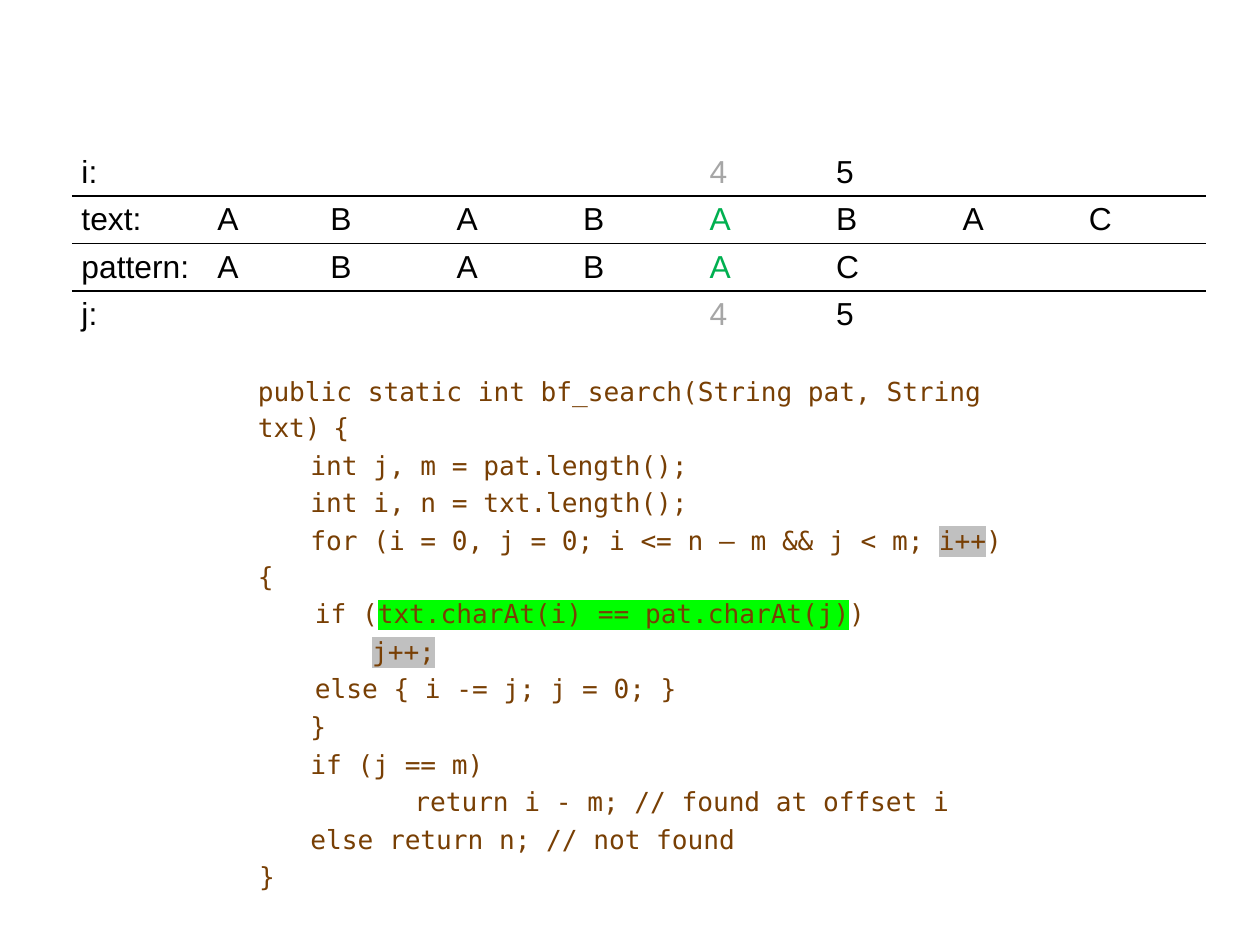
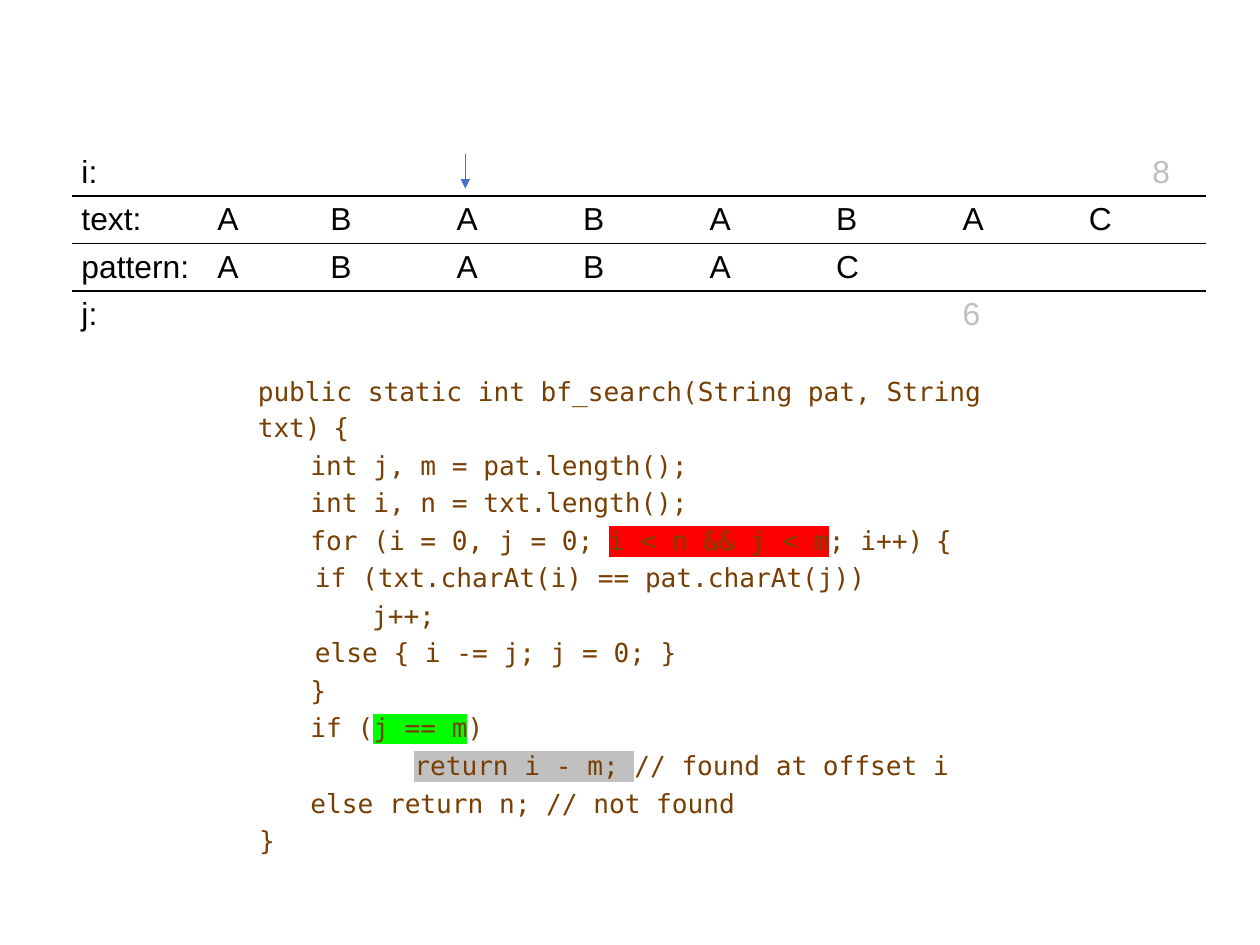
"""Two steps of a brute-force string search: index table above the code."""
from lxml.etree import SubElement
from pptx import Presentation
from pptx.dml.color import RGBColor
from pptx.enum.shapes import MSO_CONNECTOR
from pptx.enum.text import MSO_ANCHOR
from pptx.oxml.ns import qn
from pptx.util import Cm, Pt

BLACK = RGBColor(0x00, 0x00, 0x00)
BROWN = RGBColor(0x78, 0x3F, 0x04)
GREY = RGBColor(0xA6, 0xA6, 0xA6)
PALE_GREY = RGBColor(0xBF, 0xBF, 0xBF)
SILVER = RGBColor(0xC0, 0xC0, 0xC0)
MATCH_GREEN = RGBColor(0x00, 0xB0, 0x50)
LIME = RGBColor(0x00, 0xFF, 0x00)
RED = RGBColor(0xFF, 0x00, 0x00)
BLUE = RGBColor(0x44, 0x72, 0xC4)

NO_STYLE = "{2D5ABB26-0587-4C30-8999-92F81FD0307C}"
ROW_LABELS = ["i:", "text:", "pattern:", "j:"]
TEXT, PATTERN = "ABABABAC", "ABABAC"
LETTER_COLUMNS = [3.02, 2.51] + [2.81] * 6

CODE = [
    ("public static int bf_search(String pat, String txt) {", 0, 0),
    ("int j, m = pat.length();", 0, 1.17),
    ("int i, n = txt.length();", 0, 1.17),
    ("for (i = 0, j = 0; CONDITION; i++) {", 0, 1.17),
    ("\tif (txt.charAt(i) == pat.charAt(j))", 0, 1.17),
    ("\t\tj++;", 0, 1.17),
    ("\telse { i -= j; j = 0; }", 0, 1.17),
    ("}", 0, 1.17),
    ("if (j == m)", 0, 1.17),
    ("return i - m; // found at offset i", 2.31, 1.17),
    ("else return n; // not found", 0, 1.17),
    ("}", 0, 0.03),
]

STEPS = [
    {
        "columns": LETTER_COLUMNS + [2.81],
        "indices": {(0, 5): ("4", GREY), (0, 6): ("5", BLACK),
                    (3, 5): ("4", GREY), (3, 6): ("5", BLACK)},
        "matched": 5,
        "condition": "i <= n – m && j < m",
        "marks": {"i++": SILVER, "txt.charAt(i) == pat.charAt(j)": LIME, "j++;": SILVER},
        "arrow": False,
    },
    {
        "columns": LETTER_COLUMNS + [1.41, 1.4],
        "indices": {(0, 9): ("8", PALE_GREY), (3, 7): ("6", PALE_GREY)},
        "matched": None,
        "condition": "i < n && j < m",
        "marks": {"i < n && j < m": RED, "j == m": LIME, "return i - m; ": SILVER},
        "arrow": True,
    },
]


def add_code_run(paragraph, text, mark=None):
    run = paragraph.add_run()
    run.text = text
    if mark is not None:
        highlight = SubElement(run._r.get_or_add_rPr(), qn("a:highlight"))
        SubElement(highlight, qn("a:srgbClr"), val=str(mark))
    return run


def add_rule(cell, side):
    rule = SubElement(cell._tc.get_or_add_tcPr(), qn(side), w=str(Pt(1)))
    fill = SubElement(rule, qn("a:solidFill"))
    SubElement(fill, qn("a:srgbClr"), val=str(BLACK))


prs = Presentation()
prs.slide_width, prs.slide_height = Cm(28), Cm(21)

for step in STEPS:
    slide = prs.slides.add_slide(prs.slide_layouts[6])

    listing = slide.shapes.add_textbox(Cm(5.49), Cm(8), Cm(17.45), Cm(10.39)).text_frame
    listing.word_wrap = True
    listing.margin_left = listing.margin_right = Cm(0.24)
    listing.margin_top = listing.margin_bottom = Cm(0.24)
    for number, (line, margin, indent) in enumerate(CODE):
        paragraph = listing.add_paragraph() if number else listing.paragraphs[0]
        properties = paragraph._p.get_or_add_pPr()
        properties.set("marL", str(Cm(margin)))
        properties.set("indent", str(Cm(indent)))
        if "\t" in line:
            tabs = SubElement(properties, qn("a:tabLst"))
            for stop in (2.1, 4.2):
                SubElement(tabs, qn("a:tab"), pos=str(Cm(stop)), algn="l")
        paragraph.line_spacing = 1.15
        if number:
            paragraph.space_before = Pt(0.9)
        paragraph.font.name = "DejaVu Sans Mono"
        paragraph.font.size = Pt(16.5)
        paragraph.font.color.rgb = BROWN

        line = line.replace("CONDITION", step["condition"])
        statement = line.removesuffix(" {")
        fragment = next((mark for mark in step["marks"] if mark in statement), statement)
        before, fragment, after = statement.partition(fragment)
        for piece in filter(None, (before, fragment, after)):
            add_code_run(paragraph, piece, step["marks"].get(piece))
        if statement != line:
            add_code_run(paragraph, " ").font.size = Pt(13.2)
            add_code_run(paragraph, "{")

    columns = step["columns"]
    trace = slide.shapes.add_table(4, len(columns), Cm(1.6), Cm(3.3),
                                   Cm(sum(columns)), Cm(4.22)).table
    trace._tbl.tblPr.find(qn("a:tableStyleId")).text = NO_STYLE
    trace.first_row = trace.horz_banding = False
    for column, width in zip(trace.columns, columns):
        column.width = Cm(width)

    entries = {(row, 0): (label, BLACK) for row, label in enumerate(ROW_LABELS)}
    for row, letters in ((1, TEXT), (2, PATTERN)):
        for position, letter in enumerate(letters, 1):
            color = MATCH_GREEN if position == step["matched"] else BLACK
            entries[row, position] = (letter, color)
    entries.update(step["indices"])

    for row in range(4):
        for position in range(len(columns)):
            cell = trace.cell(row, position)
            if row > 0:
                add_rule(cell, "a:lnT")
            if row < 3:
                add_rule(cell, "a:lnB")
            cell.fill.background()
            cell.vertical_anchor = MSO_ANCHOR.MIDDLE
            cell.margin_left = cell.margin_right = Cm(0.21)
            cell.margin_top = cell.margin_bottom = Cm(0.1)
            entry, color = entries.get((row, position), ("", BLACK))
            cell.text = entry
            paragraph = cell.text_frame.paragraphs[0]
            paragraph.font.name = "Arial"
            paragraph.font.size = Pt(20)
            paragraph.font.color.rgb = color

    if step["arrow"]:
        pointer = slide.shapes.add_connector(MSO_CONNECTOR.STRAIGHT,
                                             Cm(10.34), Cm(3.43), Cm(10.34), Cm(4.19))
        pointer.line.color.rgb = BLUE
        pointer.line.width = Pt(0.5)
        SubElement(pointer.line._get_or_add_ln(), qn("a:tailEnd"), type="triangle")
        SubElement(pointer._element.spPr, qn("a:effectLst"))

prs.save("out.pptx")
